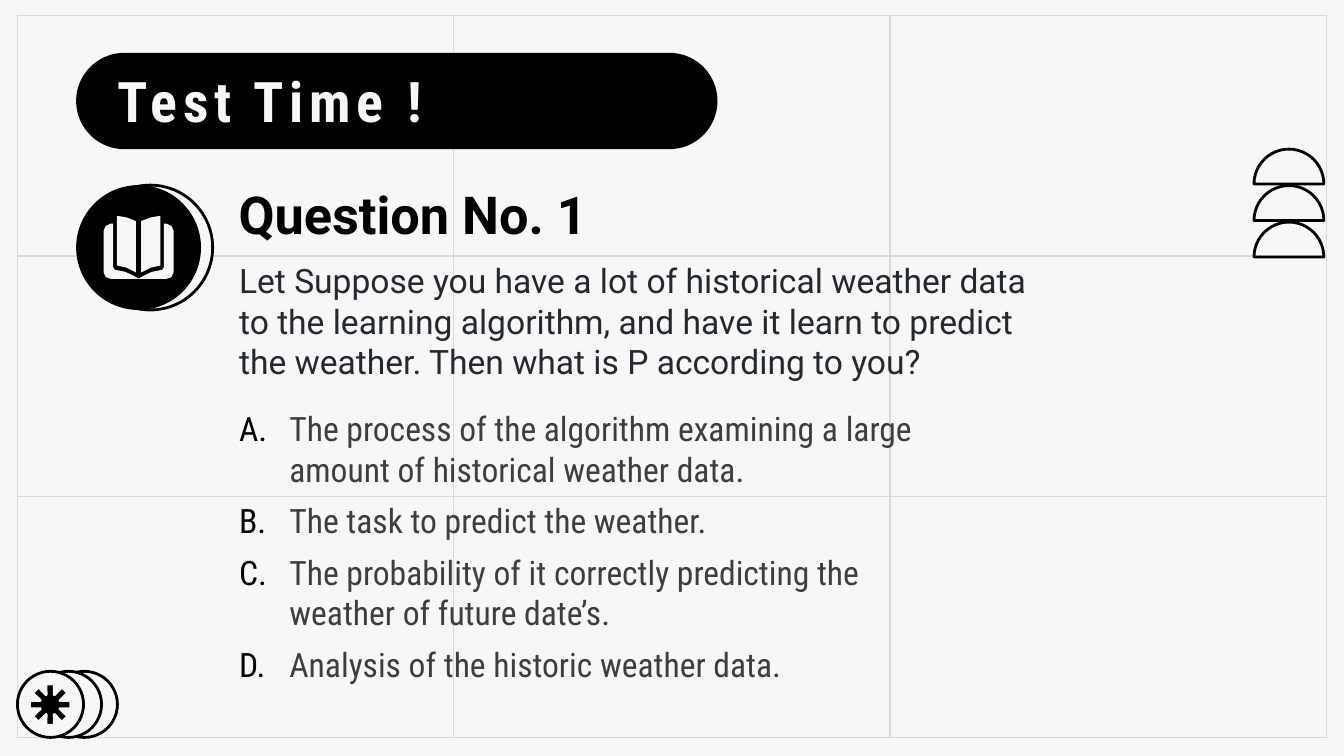
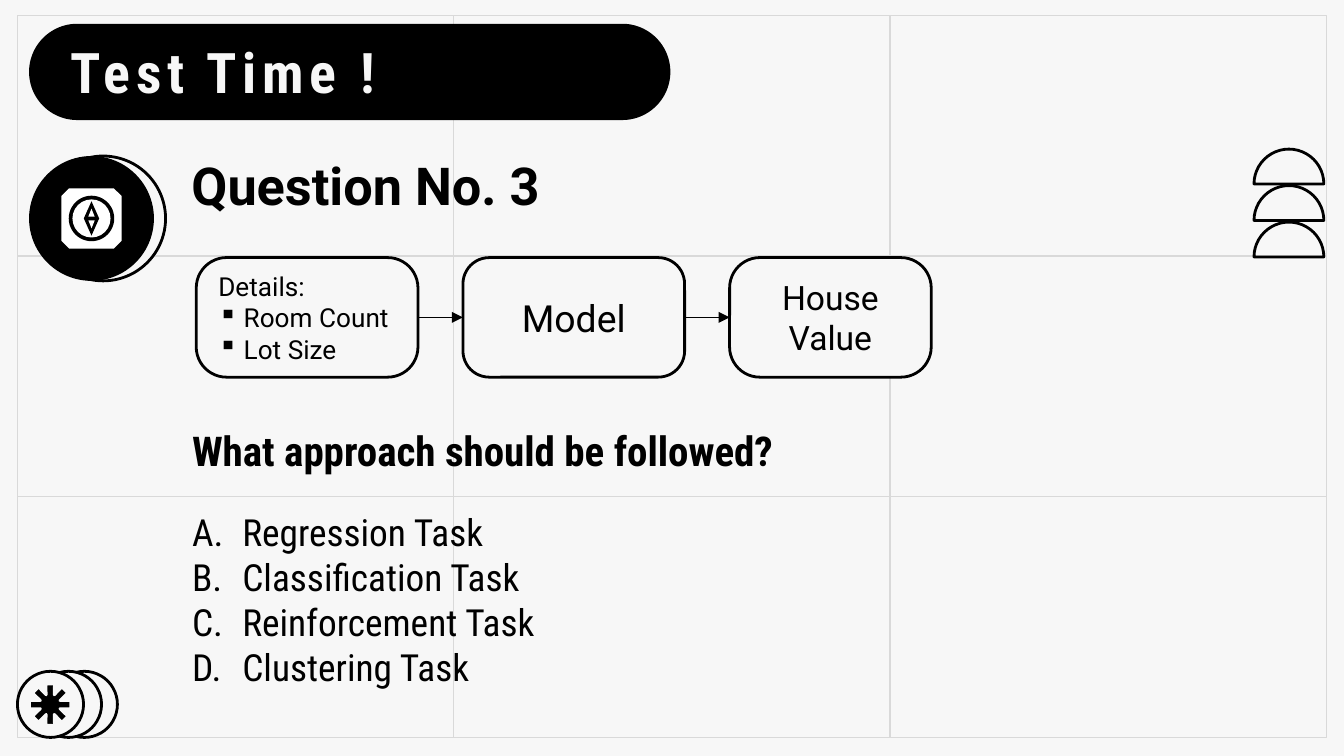
"""Build two quiz slides on a shared grid background."""
from math import cos, pi, sin

from lxml.etree import SubElement
from pptx import Presentation
from pptx.dml.color import RGBColor
from pptx.enum.shapes import MSO_CONNECTOR, MSO_SHAPE
from pptx.enum.text import MSO_ANCHOR, MSO_AUTO_SIZE, PP_ALIGN
from pptx.oxml.ns import qn
from pptx.util import Cm, Pt

PAPER = RGBColor(0xF7, 0xF7, 0xF7)
WHITE = RGBColor(0xFF, 0xFF, 0xFF)
BLACK = RGBColor(0, 0, 0)
GRID = RGBColor(0xD9, 0xD9, 0xD9)
INK = RGBColor(0x24, 0x29, 0x2F)
GREY = RGBColor(0x3E, 0x3E, 0x3E)
SANS, NARROW = "Roboto", "Roboto Condensed"

TITLE = "Test Time !"
WEATHER = {
    "origin": (1.44, 1.0),
    "heading": "Question No. 1",
    "question": "Let Suppose you have a lot of historical weather data to the learning "
                "algorithm, and have it learn to predict the weather. Then what is P "
                "according to you?",
    "answers": [
        "The process of the algorithm examining a large amount of historical weather data.",
        "The task to predict the weather.",
        "The probability of it correctly predicting the weather of future date’s.",
        "Analysis of the historic weather data.",
    ],
}
HOUSE = {
    "origin": (0.55, 0.45),
    "heading": "Question No. 3",
    "question": "What approach should be followed?",
    "answers": ["Regression Task", "Classification Task", "Reinforcement Task",
                "Clustering Task"],
    "steps": [
        (4.19, 0.253, 14, PP_ALIGN.LEFT, ["Details:", "Room Count", "Lot Size"]),
        (4.19, 0.22, 20, PP_ALIGN.CENTER, ["Model"]),
        (3.81, 0.253, 18, PP_ALIGN.CENTER, ["House", "Value"]),
    ],
}

FRAME = (0.33, 0.29, 24.74, 13.65)
BADGE = 2.36
STEP_LEFT, STEP_TOP, STEP_HEIGHT, STEP_GAP = 3.71, 4.87, 2.26, 0.85
PAGE = [(0.41, 0), (0.23, 0.03), (0.05, 0.1), (0.05, 1.07), (0.23, 0.98), (0.41, 0.94)]
COVER = [(0.48, 0.15), (0.48, 0.97), (0.45, 1.02), (0.25, 1.06), (0.08, 1.14), (0, 1.19),
         (0.53, 1.19), (0.62, 1.16), (0.66, 1.07), (0.66, 0.28), (0.62, 0.19), (0.53, 0.15)]


def paint(sp, fill=None, line=None, width=1.5):
    sp.shadow.inherit = False
    if fill is None:
        sp.fill.background()
    else:
        sp.fill.solid()
        sp.fill.fore_color.rgb = fill
    if line is None:
        sp.line.fill.background()
    else:
        sp.line.color.rgb = line
        sp.line.width = Pt(width)
    return sp


def add_preset(s, kind, box, fill=None, line=None, width=1.5, adj=()):
    sp = s.shapes.add_shape(kind, *map(Cm, box))
    for i, value in enumerate(adj):
        sp.adjustments[i] = value
    return paint(sp, fill, line, width)


def add_outline(s, points, fill, line=None):
    start, *rest = [(Cm(x), Cm(y)) for x, y in points]
    builder = s.shapes.build_freeform(*start, scale=1.0)
    builder.add_line_segments(rest, close=True)
    return paint(builder.convert_to_shape(), fill, line)


def add_line(s, x1, y1, x2, y2, color):
    line = s.shapes.add_connector(MSO_CONNECTOR.STRAIGHT, *map(Cm, (x1, y1, x2, y2)))
    line.line.color.rgb = color
    line.line.width = Pt(0.75)
    SubElement(line._element.spPr, qn("a:effectLst"))
    return line


def set_bullet(p, tag, indent, **attrs):
    pPr = p._p.get_or_add_pPr()
    pPr.set("marL", str(Cm(indent)))
    pPr.set("indent", str(-Cm(indent)))
    SubElement(SubElement(pPr, qn("a:buClr")), qn("a:srgbClr")).set("val", str(BLACK))
    bullet = SubElement(pPr, qn(tag))
    for key, value in attrs.items():
        bullet.set(key, value)


def write(tf, lines, color, size, name, bold=False, align=PP_ALIGN.LEFT, spacing=None):
    fmt = {"size": Pt(size), "name": name, "bold": bold}
    for i, text in enumerate(lines):
        p = tf.paragraphs[0] if i == 0 else tf.add_paragraph()
        p.alignment = align
        r = p.add_run()
        r.text = text
        for key, value in fmt.items():
            setattr(r.font, key, value)
        r.font.color.rgb = color
        if spacing:
            r._r.get_or_add_rPr().set("spc", str(spacing * 100))


def set_frame(tf, anchor=MSO_ANCHOR.TOP, inset=0.25):
    tf.word_wrap = True
    tf.vertical_anchor = anchor
    for side in ("top", "bottom", "left", "right"):
        setattr(tf, f"margin_{side}", Cm(inset))


def add_text(s, box, lines, color, size, name, anchor=MSO_ANCHOR.TOP, grow=False, **style):
    tf = s.shapes.add_textbox(*map(Cm, box)).text_frame
    set_frame(tf, anchor)
    if grow:
        tf.margin_top = tf.margin_bottom = Cm(0.13)
        tf.auto_size = MSO_AUTO_SIZE.SHAPE_TO_FIT_TEXT
    write(tf, lines, color, size, name, **style)
    return tf


def add_answers(s, box, answers, color, size, after=0):
    tf = add_text(s, box, answers, color, size, NARROW, grow=True)
    for p in tf.paragraphs:
        p.space_after = Pt(after)
        set_bullet(p, "a:buAutoNum", 0.95, type="alphaUcPeriod")


def add_asterisk(s, cx, cy, length=0.39, half=0.08, notch=0.2):
    points = []
    for k in range(8):
        a = k * pi / 4
        for side in (-half, half):
            points.append((cx + length * cos(a) - side * sin(a),
                           cy + length * sin(a) + side * cos(a)))
        points.append((cx + notch * cos(a + pi / 8), cy + notch * sin(a + pi / 8)))
    add_outline(s, points, BLACK, PAPER)


def add_backdrop(s):
    s.background.fill.solid()
    s.background.fill.fore_color.rgb = PAPER
    x, y, w, h = FRAME
    add_preset(s, MSO_SHAPE.RECTANGLE, FRAME, PAPER, GRID, 0.75)
    for i in (1, 2):
        add_line(s, x + w * i / 3, y, x + w * i / 3, y + h, GRID)
    for i in (1, 2):
        add_line(s, x, y + h * i / 3, x + w, y + h * i / 3, GRID)
    for i in range(3):
        add_preset(s, MSO_SHAPE.PIE, (23.7, 2.82 + 0.69 * i, 1.32, 1.32), None, BLACK,
                   adj=(108.11, 215.89))
    for left in (0.97, 0.67, 0.33):
        add_preset(s, MSO_SHAPE.OVAL, (left, 12.69, 1.25, 1.25), PAPER, BLACK)
    add_asterisk(s, 0.95, 13.32)


def add_book(s, cx, cy):
    for side in (-1, 1):
        for part in (COVER, PAGE):
            add_outline(s, [(cx + side * x, cy - 0.6 + y) for x, y in part], PAPER)


def add_compass(s, cx, cy):
    def centred(kind, w, h, fill, dy=0, adj=()):
        return add_preset(s, kind, (cx - w / 2, cy + dy - h / 2, w, h), fill, adj=adj)

    centred(MSO_SHAPE.OCTAGON, 1.14, 1.14, WHITE, adj=(0.13,))
    centred(MSO_SHAPE.OVAL, 0.86, 0.86, BLACK)
    centred(MSO_SHAPE.OVAL, 0.72, 0.72, WHITE)
    centred(MSO_SHAPE.DIAMOND, 0.29, 0.65, BLACK)
    centred(MSO_SHAPE.ISOSCELES_TRIANGLE, 0.12, 0.15, WHITE, -0.11)
    centred(MSO_SHAPE.ISOSCELES_TRIANGLE, 0.12, 0.15, WHITE, 0.11).rotation = 180


def add_header(s, content, add_icon):
    x, y = content["origin"]
    top = y + 2.5
    add_preset(s, MSO_SHAPE.ROUNDED_RECTANGLE, (x, y, 12.12, 1.82), BLACK, adj=(0.5,))
    add_text(s, (x + 0.53, y + 0.01, 10.72, 1.8), [TITLE], PAPER, 30, NARROW,
             bold=True, spacing=3)
    add_text(s, (x + 2.82, top, 9.68, 1.09), [content["heading"]], BLACK, 28, SANS,
             MSO_ANCHOR.MIDDLE, bold=True)
    add_preset(s, MSO_SHAPE.OVAL, (x + 0.22, top, BADGE, BADGE), PAPER, BLACK)
    add_preset(s, MSO_SHAPE.OVAL, (x, top, BADGE, BADGE), BLACK)
    add_icon(s, x + BADGE / 2, top + BADGE / 2)


def add_flow(s, steps):
    left, boxes = STEP_LEFT, []
    for width, corner, size, align, lines in steps:
        sp = add_preset(s, MSO_SHAPE.ROUNDED_RECTANGLE, (left, STEP_TOP, width, STEP_HEIGHT),
                        PAPER, BLACK, adj=(corner,))
        set_frame(sp.text_frame, MSO_ANCHOR.MIDDLE)
        write(sp.text_frame, lines, BLACK, size, SANS, align=align)
        boxes.append(sp)
        left += width + STEP_GAP
    for p in boxes[0].text_frame.paragraphs[1:]:
        set_bullet(p, "a:buChar", 0.48, char="▪")
    for a, b in zip(boxes, boxes[1:]):
        arrow = add_line(s, 0, 0, 1, 1, BLACK)
        arrow.begin_connect(a, 3)
        arrow.end_connect(b, 1)
        SubElement(arrow.line._get_or_add_ln(), qn("a:tailEnd")).set("type", "triangle")


def add_slide(prs, content, add_icon):
    s = prs.slides.add_slide(prs.slide_layouts[6])
    add_backdrop(s)
    add_header(s, content, add_icon)
    return s


def main():
    prs = Presentation()
    prs.slide_width, prs.slide_height = Cm(25.4), Cm(14.29)

    s = add_slide(prs, WEATHER, add_book)
    add_text(s, (4.27, 4.67, 15.85, 2.64), [WEATHER["question"]], INK, 18, SANS)
    add_answers(s, (4.27, 7.59, 14.27, 5.51), WEATHER["answers"], GREY, 18, after=6)

    s = add_slide(prs, HOUSE, add_compass)
    add_answers(s, (3.38, 9.5, 14.27, 3.68), HOUSE["answers"], BLACK, 20)
    add_flow(s, HOUSE["steps"])
    add_text(s, (3.38, 7.92, 17.42, 1.19), [HOUSE["question"]], BLACK, 22, NARROW,
             grow=True, bold=True)

    prs.save("out.pptx")


if __name__ == "__main__":
    main()
